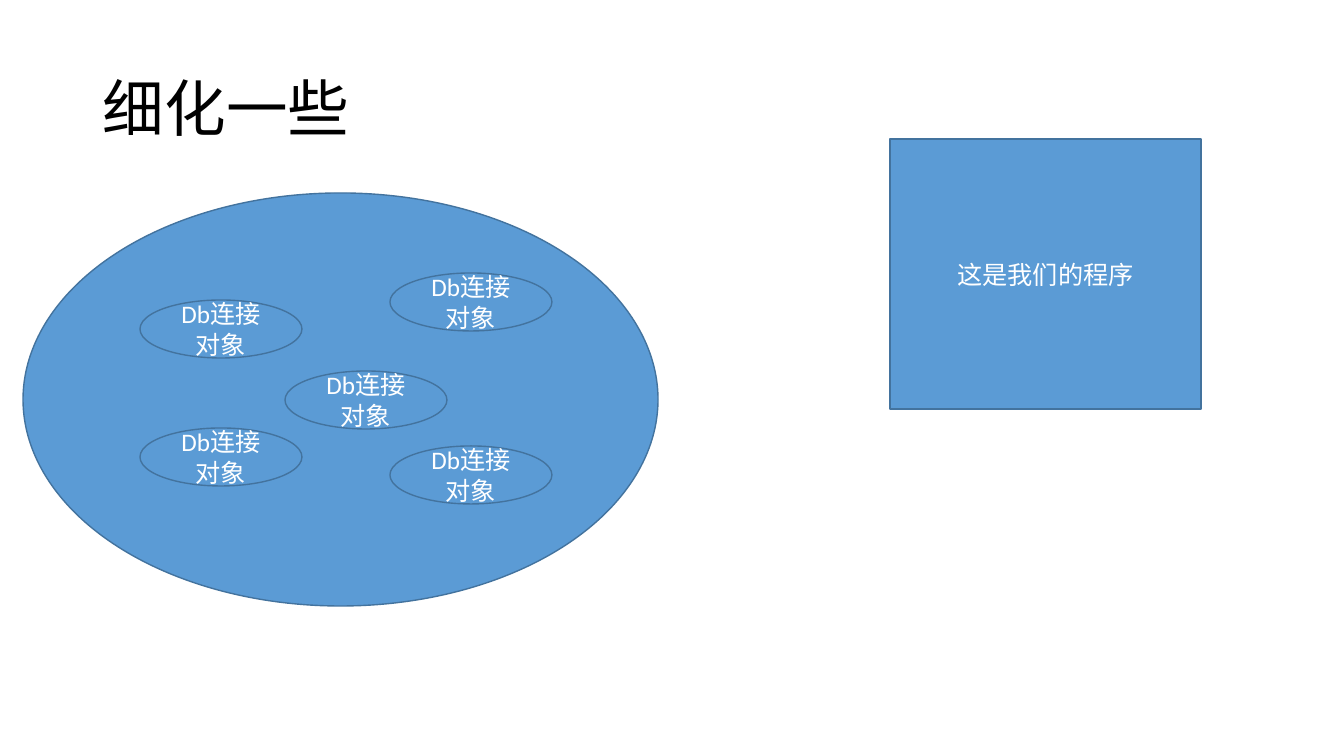
"""Build the slide showing a pool of database connections beside our program."""
from pptx import Presentation
from pptx.dml.color import RGBColor
from pptx.enum.shapes import MSO_SHAPE
from pptx.enum.text import MSO_ANCHOR, PP_ALIGN
from pptx.util import Pt

TITLE = ("细化一些", (93, 38, 1159, 146))
POOL = ("", (23, 193, 635, 413))
PROGRAM = ("这是我们的程序", (890, 139, 311, 270))
LINK = "Db连接对象"
LINK_SIZE = (162, 58)
LINK_SPOTS = [(140, 300), (390, 273), (140, 428), (285, 371), (390, 446)]

HUES = {"fill": "5B9BD5", "edge": "43739E", "title": "000000", "label": "FFFFFF"}
SCALE = 914400 / 100.8
HEAD = {"size": Pt(44), "name": "Calibri"}
BODY = {"size": Pt(18), "name": "Calibri"}


def emu(*sizes):
    return [round(size * SCALE) for size in sizes]


def hue(name):
    return RGBColor.from_string(HUES[name])


def write(shape, text, font, color, align, space=None):
    frame = shape.text_frame
    frame.word_wrap = True
    frame.vertical_anchor = MSO_ANCHOR.MIDDLE
    para = frame.paragraphs[0]
    para.alignment = align
    para.line_spacing = space
    run = para.add_run()
    run.text = text
    for key, value in font.items():
        setattr(run.font, key, value)
    run.font.color.rgb = hue(color)


def draw(kind, text, box):
    shape = slide.shapes.add_shape(kind, *emu(*box))
    shape.shadow.inherit = False
    shape.fill.solid()
    shape.fill.fore_color.rgb = hue("fill")
    shape.line.color.rgb = hue("edge")
    shape.line.width = Pt(1)
    if text:
        write(shape, text, BODY, "label", PP_ALIGN.CENTER)


deck = Presentation()
deck.slide_width, deck.slide_height = emu(1344, 756)
slide = deck.slides.add_slide(deck.slide_layouts[6])

text, box = TITLE
title = slide.shapes.add_textbox(*emu(*box))
write(title, text, HEAD, "title", PP_ALIGN.JUSTIFY, 0.9)

draw(MSO_SHAPE.OVAL, *POOL)
for spot in LINK_SPOTS:
    draw(MSO_SHAPE.OVAL, LINK, spot + LINK_SIZE)
draw(MSO_SHAPE.RECTANGLE, *PROGRAM)

deck.save("out.pptx")
